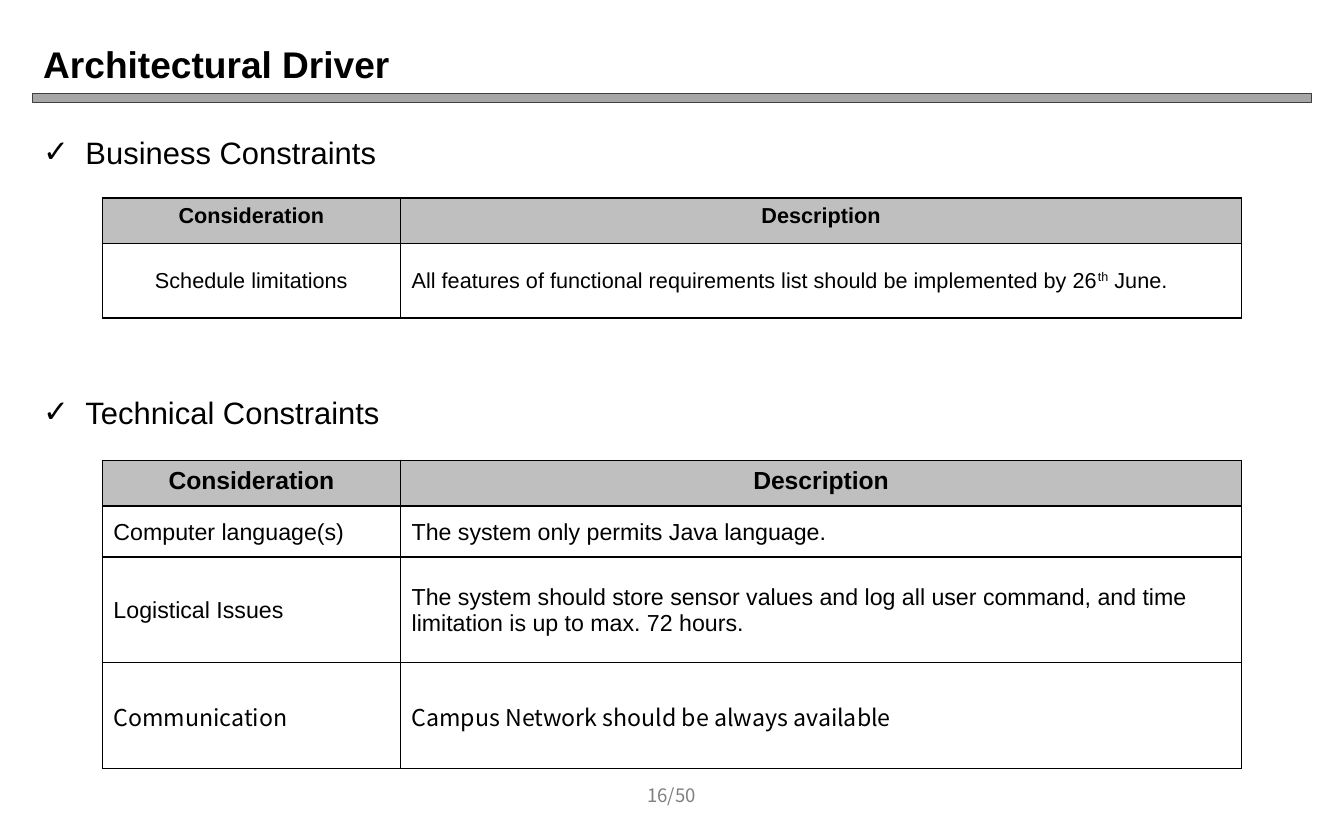
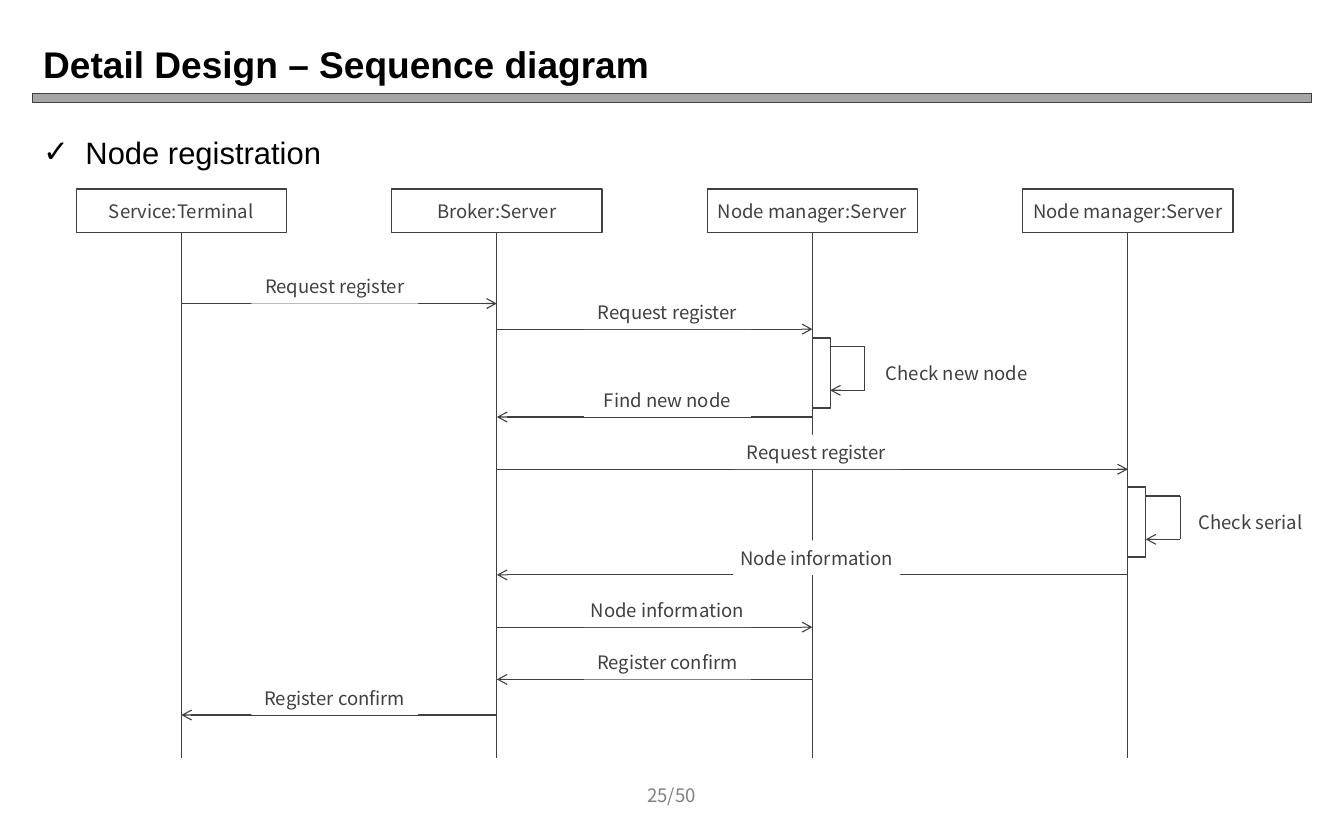
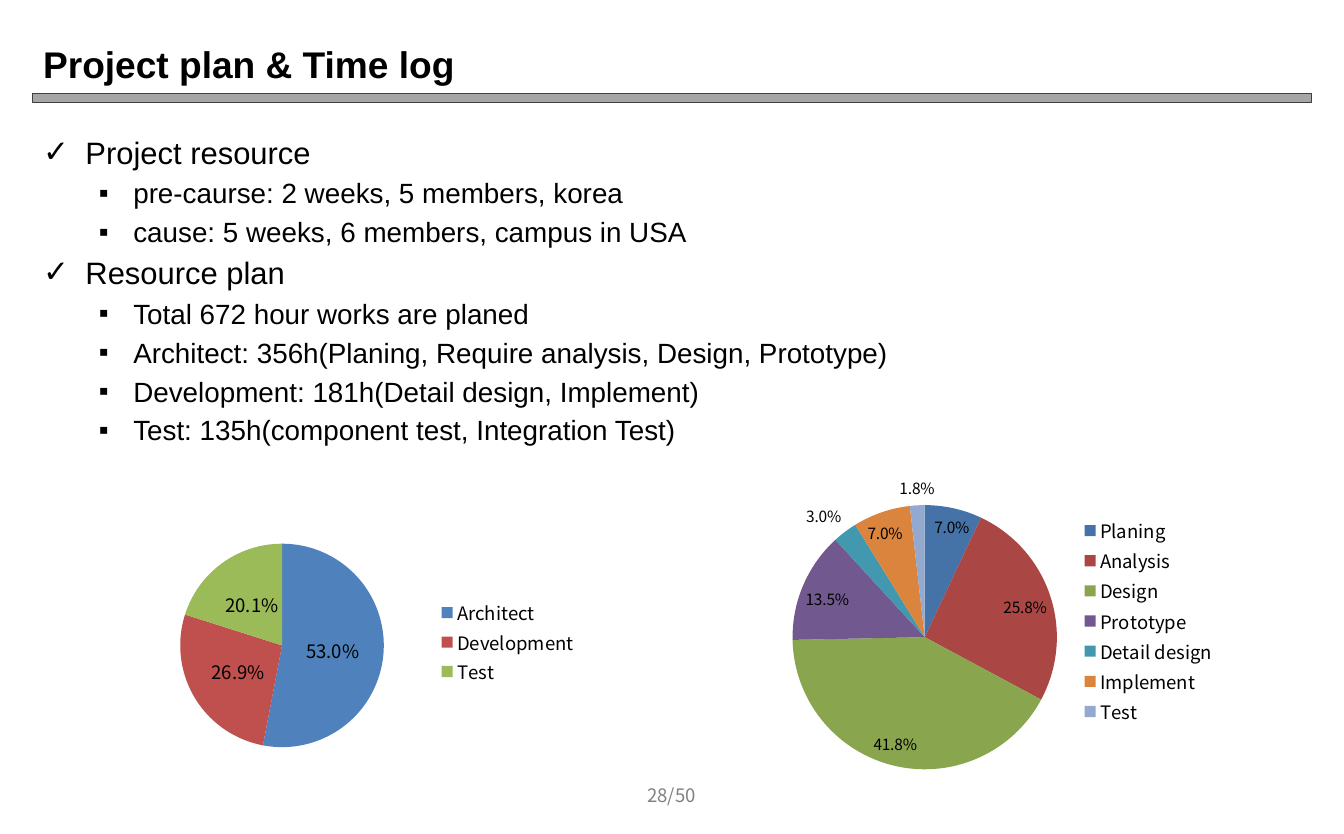
from dataclasses import dataclass

from lxml import etree
from pptx import Presentation
from pptx import util as u
from pptx.chart.data import CategoryChartData
from pptx.dml.color import RGBColor
from pptx.enum import chart as charts, shapes, text
from pptx.oxml import parse_xml
from pptx.oxml.ns import nsdecls, qn

# Shared style
COLORS = {"ink": "000000", "line": "404040", "band": "A6A6A6", "header": "BFBFBF",
          "number": "808080", "white": "FFFFFF"}
SANS, NOTO = "Arial", "Noto Sans CJK KR"
CENTER, LEFT = text.PP_ALIGN.CENTER, text.PP_ALIGN.LEFT
MIDDLE, TOP = text.MSO_ANCHOR.MIDDLE, text.MSO_ANCHOR.TOP
MARGIN, CONTENT_WIDTH = 0.29, 11.5
PAGE_COUNT = 50


@dataclass
class Span:
    text: str
    size: float
    font: str = SANS
    color: str = "ink"
    bold: bool = False
    superscript: bool = False


@dataclass
class Bullet:
    text: str
    level: int = 0


@dataclass
class Cell:
    spans: list[Span]
    align: int = LEFT
    anchor: int = MIDDLE
    fill: str = "white"
    top: float = 0.01
    bottom: float = 0.0


@dataclass
class Message:
    label: str
    start: int
    end: int
    y: float
    label_x: float


@dataclass
class SelfCall:
    label: str
    lifeline: int
    y: float
    label_x: float
    label_y: float
    label_width: float


@dataclass
class Pie:
    box: tuple[float, float, float, float]
    values: dict[str, float]
    colors: list[str]
    label_size: float
    label_position: int
    plot: tuple[float, float, float, float]
    legend: tuple[float, float, float, float]


def rgb(name: str) -> RGBColor:
    return RGBColor.from_string(COLORS.get(name, name))


def inches(*lengths: float) -> list[int]:
    return [u.Inches(length) for length in lengths]


# Text
def add_span(para, item: Span) -> None:
    span = para.add_run()
    span.text = item.text
    font = span.font
    font.name, font.size, font.bold = item.font, u.Pt(item.size), item.bold
    font.color.rgb = rgb(item.color)
    if item.superscript:
        span._r.get_or_add_rPr().set("baseline", "30000")


def add_text(page, box: tuple, item: Span, align: int = LEFT) -> None:
    frame = page.shapes.add_textbox(*inches(*box)).text_frame
    frame.word_wrap, frame.vertical_anchor = True, MIDDLE
    para = frame.paragraphs[0]
    para.alignment = align
    add_span(para, item)


def add_bullets(page, top: float, height: float, bullets: list[Bullet]) -> None:
    levels = [(20, "✓", 0.38, 0.38), (18, "▪", 0.81, 0.31)]
    frame = page.shapes.add_textbox(*inches(MARGIN, top, CONTENT_WIDTH, height)).text_frame
    frame.word_wrap = True
    for index, bullet in enumerate(bullets):
        size, mark, indent, hang = levels[bullet.level]
        para = frame.add_paragraph() if index else frame.paragraphs[0]
        para.space_before = u.Pt(3.6)
        props = para._p.get_or_add_pPr()
        props.set("marL", str(u.Inches(indent)))
        props.set("indent", str(-u.Inches(hang)))
        etree.SubElement(props, qn("a:buFont")).set("typeface", SANS)
        etree.SubElement(props, qn("a:buChar")).set("char", mark)
        add_span(para, Span(bullet.text, size))


# Shapes and lines
def add_box(page, box: tuple, fill: str = "white", outlined: bool = True, label: str = "",
            preset: int = shapes.MSO_SHAPE.RECTANGLE) -> None:
    shape = page.shapes.add_shape(preset, *inches(*box))
    shape.shadow.inherit = False
    shape.fill.solid()
    shape.fill.fore_color.rgb = rgb(fill)
    if outlined:
        shape.line.color.rgb, shape.line.width = rgb("line"), u.Pt(0.75)
    else:
        shape.line.fill.background()
    if label:
        frame = shape.text_frame
        frame.word_wrap, frame.vertical_anchor = True, MIDDLE
        frame.margin_left = frame.margin_right = u.Inches(0.04)
        frame.margin_top = frame.margin_bottom = u.Inches(0.04)
        frame.paragraphs[0].alignment = CENTER
        add_span(frame.paragraphs[0], Span(label, 12, NOTO, "line"))


def add_line(page, start: tuple, end: tuple, arrow: bool = False) -> None:
    line = page.shapes.add_connector(shapes.MSO_CONNECTOR.STRAIGHT, *inches(*start, *end))
    line.line.color.rgb, line.line.width = rgb("line"), u.Pt(0.75)
    if arrow:
        etree.SubElement(line.line._get_or_add_ln(), qn("a:tailEnd")).set("type", "arrow")
    etree.SubElement(line._element.spPr, qn("a:effectLst"))


def add_page(deck, title: str, number: int):
    page = deck.slides.add_slide(deck.slide_layouts[6])
    add_box(page, (MARGIN, 0.84, CONTENT_WIDTH, 0.08), "band",
            preset=shapes.MSO_SHAPE.FLOWCHART_PROCESS)
    add_text(page, (MARGIN, 0.3, CONTENT_WIDTH, 0.54), Span(title, 24, bold=True))
    add_text(page, (5.49, 6.95, 1.09, 0.4),
             Span(f"{number}/{PAGE_COUNT}", 12, NOTO, "number"), CENTER)
    return page


# Tables
def add_borders(cell) -> None:
    props = cell._tc.get_or_add_tcPr()
    for index, side in enumerate(("lnL", "lnR", "lnT", "lnB")):
        props.insert(index, parse_xml(
            f'<a:{side} {nsdecls("a")} w="12700"><a:solidFill>'
            f'<a:srgbClr val="{COLORS["ink"]}"/></a:solidFill></a:{side}>'))


def add_table(page, top: float, heights: list[float], rows: list[list[Cell]]) -> None:
    widths = [2.68, 7.56]
    table = page.shapes.add_table(len(rows), len(widths), *inches(
        0.92, top, sum(widths), sum(heights))).table
    table.first_row = table.horz_banding = False
    for column, width in zip(table.columns, widths):
        column.width = u.Inches(width)
    for r, (height, row) in enumerate(zip(heights, rows)):
        table.rows[r].height = u.Inches(height)
        for c, item in enumerate(row):
            cell = table.cell(r, c)
            cell.margin_top, cell.margin_bottom = inches(item.top, item.bottom)
            cell.vertical_anchor = item.anchor
            cell.fill.solid()
            cell.fill.fore_color.rgb = rgb(item.fill)
            para = cell.text_frame.paragraphs[0]
            para.alignment = item.align
            for span in item.spans:
                add_span(para, span)
            add_borders(cell)


def header_row(size: float, anchor: int, top: float) -> list[Cell]:
    return [Cell([Span(name, size, bold=True)], CENTER, anchor, "header", top, 0.05)
            for name in ("Consideration", "Description")]


# Charts
def set_layout(part, area: tuple, inner: bool = False) -> None:
    """Place a plot area or legend by fractions of the chart."""
    for old in part.findall(qn("c:layout")):
        part.remove(old)
    target = '<c:layoutTarget val="inner"/>' if inner else ""
    modes = "".join(f'<c:{axis}Mode val="edge"/>' for axis in "xy")
    sizes = "".join(f'<c:{key} val="{value}"/>' for key, value in zip("xywh", area))
    layout = parse_xml(f'<c:layout {nsdecls("c")}><c:manualLayout>{target}{modes}{sizes}'
                       '</c:manualLayout></c:layout>')
    part.insert(0 if inner else 1, layout)


def add_pie(page, pie: Pie) -> None:
    data = CategoryChartData(number_format="0.0%")
    data.categories = list(pie.values)
    data.add_series("Series 1", list(pie.values.values()))
    chart = page.shapes.add_chart(charts.XL_CHART_TYPE.PIE, *inches(*pie.box), data).chart
    chart.has_title = False
    chart.font.name, chart.font.size = NOTO, u.Pt(10)
    chart.font.color.rgb = rgb("ink")
    chart.has_legend = True
    chart.legend.position = charts.XL_LEGEND_POSITION.RIGHT
    chart.legend.include_in_layout = False
    chart.legend.font.size = u.Pt(12)
    plot = chart.plots[0]
    plot.vary_by_categories = True
    for index, color in enumerate(pie.colors):
        fill = plot.series[0].points[index].format.fill
        fill.solid()
        fill.fore_color.rgb = rgb(color)
    plot.has_data_labels = True
    labels = plot.data_labels
    labels.show_value, labels.show_percentage = True, False
    labels.number_format, labels.number_format_is_linked = "0.0%", False
    labels.position = pie.label_position
    labels.font.size = u.Pt(pie.label_size)
    set_layout(chart._chartSpace.chart.plotArea, pie.plot, inner=True)
    set_layout(chart.legend._element, pie.legend)


# Pages
def build_drivers(deck) -> None:
    page = add_page(deck, "Architectural Driver", 16)
    add_bullets(page, 1.15, 0.5, [Bullet("Business Constraints")])
    add_bullets(page, 3.49, 0.5, [Bullet("Technical Constraints")])
    deadline = [
        Span("All features of functional requirements list should be implemented by 26", 14),
        Span("th", 14, superscript=True), Span(" June.", 14)]
    add_table(page, 1.78, [0.41, 0.67], [
        header_row(14, TOP, 0.05),
        [Cell([Span("Schedule limitations", 14)], CENTER, top=0.05, bottom=0.05),
         Cell(deadline, top=0.05, bottom=0.05)]])
    technical = [
        ("Computer language(s)", "The system only permits Java language.", SANS),
        ("Logistical Issues", "The system should store sensor values and log all user command, "
         "and time limitation is up to max. 72 hours.", SANS),
        ("Communication", "Campus Network should be always available", NOTO)]
    add_table(page, 4.14, [0.41, 0.46, 0.95, 0.95], [header_row(16, MIDDLE, 0.01)] + [
        [Cell([Span(words, 15, font)]) for words in (topic, description)]
        for topic, description, font in technical])


def build_sequence(deck) -> None:
    page = add_page(deck, "Detail Design – Sequence diagram", 25)
    add_bullets(page, 1.15, 0.5, [Bullet("Node registration")])

    # Lifelines
    names = ["Service:Terminal", "Broker:Server", "Node manager:Server", "Node manager:Server"]
    head_width, head_top, head_height, foot = 1.89, 1.7, 0.39, 6.82
    centers = [1.63 + 2.836 * index for index in range(len(names))]
    for name, x in zip(names, centers):
        add_box(page, (x - head_width / 2, head_top, head_width, head_height), label=name)
        add_line(page, (x, head_top + head_height), (x, foot))

    # Calls to itself
    label_width, label_height = 1.5, 0.31
    bar_width, bar_height, reach, drop = 0.16, 0.63, 0.31, 0.39
    for call in (SelfCall("Check new node", 2, 3.04, 7.85, 3.2, label_width),
                 SelfCall("Check serial", 3, 4.38, 10.69, 4.54, 1.1)):
        x, y = centers[call.lifeline], call.y + 0.08
        near, far = x + bar_width, x + bar_width + reach
        add_box(page, (x, call.y, bar_width, bar_height))
        add_line(page, (near, y), (far, y))
        add_line(page, (far, y), (far, y + drop))
        add_line(page, (far, y + drop), (near, y + drop), arrow=True)
        add_box(page, (call.label_x, call.label_y, call.label_width, label_height),
                outlined=False, label=call.label)

    # Messages
    for message in (Message("Request register", 0, 1, 2.73, 2.26),
                    Message("Request register", 1, 2, 2.96, 5.25),
                    Message("Find new node", 2, 1, 3.75, 5.25),
                    Message("Request register", 1, 3, 4.22, 6.59),
                    Message("Node information", 3, 1, 5.17, 6.59),
                    Message("Node information", 1, 2, 5.64, 5.25),
                    Message("Register confirm", 2, 1, 6.11, 5.25),
                    Message("Register confirm", 1, 0, 6.43, 2.26)):
        add_line(page, (centers[message.start], message.y),
                 (centers[message.end], message.y), arrow=True)
        add_box(page, (message.label_x, message.y - label_height, label_width, label_height),
                outlined=False, label=message.label)


def build_plan(deck) -> None:
    page = add_page(deck, "Project plan & Time log", 28)
    add_bullets(page, 1.15, 3, [
        Bullet("Project resource"),
        Bullet("pre-caurse: 2 weeks, 5 members, korea", 1),
        Bullet("cause: 5 weeks, 6 members, campus in USA", 1),
        Bullet("Resource plan"),
        Bullet("Total 672 hour works are planed", 1),
        Bullet("Architect: 356h(Planing, Require analysis, Design, Prototype)", 1),
        Bullet("Development: 181h(Detail design, Implement)", 1),
        Bullet("Test: 135h(component test, Integration Test)", 1)])
    add_pie(page, Pie(
        (1.08, 4.23, 4.41, 3), {"Architect": 0.53, "Development": 0.269, "Test": 0.201},
        ["4F81BD", "C0504D", "9BBB59"], 12, charts.XL_LABEL_POSITION.CENTER,
        (0.12, 0.22, 0.42, 0.61), (0.64, 0.38, 0.3, 0.27)))
    add_pie(page, Pie(
        (6.53, 4.16, 4.57, 2.91),
        {"Planing": 0.07, "Analysis": 0.258, "Design": 0.418, "Prototype": 0.135,
         "Detail design": 0.03, "Implement": 0.07, "Test": 0.018},
        ["4572A7", "AA4643", "89A54E", "71588F", "4198AF", "DB843D", "93A9CF"],
        10, charts.XL_LABEL_POSITION.BEST_FIT,
        (0.13, 0.13, 0.52, 0.82), (0.69, 0.16, 0.28, 0.66)))


def main() -> None:
    deck = Presentation()
    deck.slide_width, deck.slide_height = inches(12.08, 7.5)
    for build in (build_drivers, build_sequence, build_plan):
        build(deck)
    deck.save("out.pptx")


if __name__ == "__main__":
    main()
